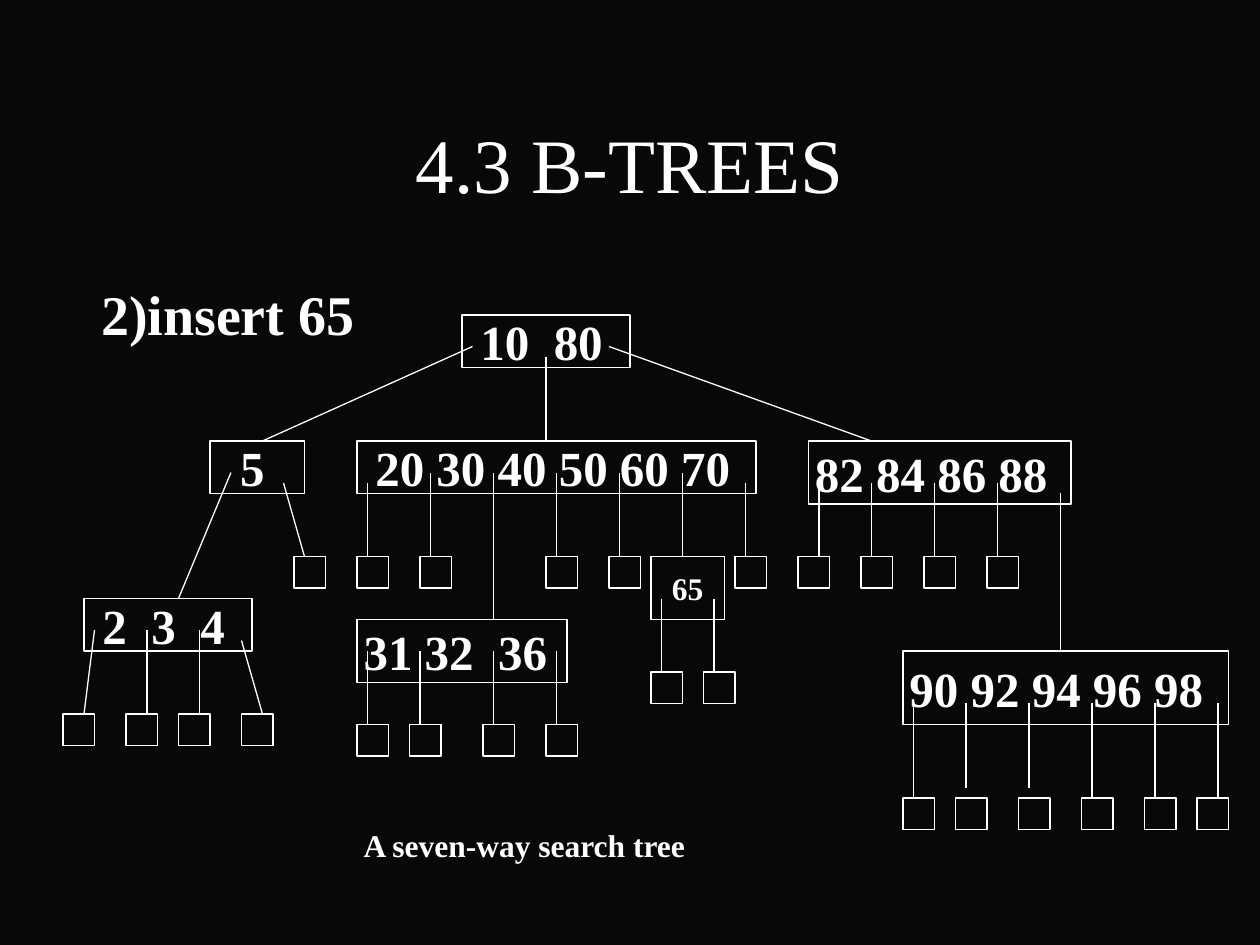
from dataclasses import dataclass

from lxml.etree import SubElement
from pptx import Presentation
from pptx.dml.color import RGBColor
from pptx.enum.shapes import MSO_CONNECTOR, MSO_SHAPE
from pptx.enum.text import MSO_ANCHOR, MSO_AUTO_SIZE, PP_ALIGN
from pptx.oxml.ns import qn
from pptx.util import Pt

EMU_PER_PX = 9525


@dataclass(frozen=True)
class Theme:
    background: RGBColor = RGBColor(0x08, 0x08, 0x08)
    ink: RGBColor = RGBColor(0xFF, 0xFF, 0xFF)
    face: str = "Times New Roman"
    title: int = 44
    body: int = 32
    keys: int = 28
    small: int = 18
    outline: float = 0.75
    wide_gap: int = 7


THEME = Theme()

TITLE = "4.3 B-TREES"
STEP = "2)insert 65"
CAPTION = "A seven-way search tree"

SLIDE_SIZE = (960, 720)
TITLE_BOX = (72, 64, 816, 120)
STEP_BOX = (72, 208, 816, 432)
CAPTION_BOX = (272, 624, 352, 36)
INSET = 5
HANGING = 36
LEAF_SIDE = 24

# key groups within a node are separated by a wide gap
NODES = [
    (("10", "80"), (352, 240, 128, 40), 14),
    (("5",), (160, 336, 72, 40), 23),
    (("20 30 40 50 60 70",), (272, 336, 304, 40), 14),
    (("82 84 86 88",), (616, 336, 200, 48), INSET),
    (("2", "3", "4"), (64, 456, 128, 40), 14),
    (("31 32", "36"), (272, 472, 160, 48), INSET),
    (("90 92 94 96 98",), (688, 496, 248, 56), INSET),
]
INSERTED = ("65", (496, 424, 56, 48))

LEAF_ROWS = {
    424: (224, 272, 320, 416, 464, 560, 608, 656, 704, 752),
    512: (496, 536),
    544: (48, 96, 136, 184),
    552: (272, 312, 368, 416),
    608: (688, 728, 776, 824, 872, 912),
}

VERTICAL_LINKS = {
    (272, 336): (416,),
    (360, 424): (328, 424, 472, 520),
    (360, 472): (376,),
    (368, 424): (280, 568, 624, 664, 712, 760),
    (376, 496): (808,),
    (456, 512): (504, 544),
    (480, 544): (112, 152),
    (496, 552): (280, 320, 376, 424),
    (536, 600): (736, 784),
    (536, 608): (696, 832, 880, 928),
}
SLANTED_LINKS = [
    (360, 264, 200, 336),
    (464, 264, 664, 336),
    (176, 360, 136, 456),
    (216, 368, 232, 424),
    (72, 480, 64, 544),
    (184, 488, 200, 544),
]


def emu(lengths):
    return [length * EMU_PER_PX for length in lengths]


def place(placeholder, box):
    placeholder.left, placeholder.top, placeholder.width, placeholder.height = emu(box)


def style_frame(frame, anchor, left=INSET, vertical=INSET, wrap=True):
    frame.margin_left, frame.margin_right = emu((left, INSET))
    frame.margin_top = frame.margin_bottom = vertical * EMU_PER_PX
    frame.vertical_anchor = anchor
    frame.auto_size = MSO_AUTO_SIZE.NONE
    frame.word_wrap = wrap


def style_paragraph(paragraph, size, align=PP_ALIGN.LEFT, bold=True, before=0):
    paragraph.alignment = align
    paragraph.space_before = Pt(before)
    paragraph.font.name = THEME.face
    paragraph.font.size = Pt(size)
    paragraph.font.bold = bold
    paragraph.font.color.rgb = THEME.ink


def add_box(slide, box):
    rectangle = slide.shapes.add_shape(MSO_SHAPE.RECTANGLE, *emu(box))
    rectangle.shadow.inherit = False
    rectangle.fill.background()
    rectangle.line.color.rgb = THEME.ink
    rectangle.line.width = Pt(THEME.outline)
    return rectangle


def add_node(slide, groups, box, left, size, align=PP_ALIGN.LEFT):
    frame = add_box(slide, box).text_frame
    style_frame(frame, MSO_ANCHOR.MIDDLE, left, vertical=0, wrap=align == PP_ALIGN.CENTER)
    paragraph = frame.paragraphs[0]
    for index, group in enumerate(groups):
        if index:
            gap = paragraph.add_run()
            gap.text = " "
            gap.font._element.set("spc", str(THEME.wide_gap * 100))
        paragraph.add_run().text = group
    style_paragraph(paragraph, size, align)


def add_link(slide, ends):
    link = slide.shapes.add_connector(MSO_CONNECTOR.STRAIGHT, *emu(ends))
    link.line.color.rgb = THEME.ink
    link.line.width = Pt(THEME.outline)
    SubElement(link._element.spPr, qn("a:effectLst"))


def add_heading(slide):
    title, step = slide.shapes.title, slide.placeholders[1]
    place(title, TITLE_BOX)
    title.text_frame.text = TITLE
    style_frame(title.text_frame, MSO_ANCHOR.MIDDLE)
    style_paragraph(title.text_frame.paragraphs[0], THEME.title, PP_ALIGN.CENTER, bold=False)

    place(step, STEP_BOX)
    step.text_frame.text = STEP
    style_frame(step.text_frame, MSO_ANCHOR.TOP)
    paragraph = step.text_frame.paragraphs[0]
    style_paragraph(paragraph, THEME.body, before=7)
    properties = paragraph._p.get_or_add_pPr()
    properties.set("marL", str(HANGING * EMU_PER_PX))
    properties.set("indent", str(-HANGING * EMU_PER_PX))
    properties.find(qn("a:spcBef")).addnext(properties.makeelement(qn("a:buNone")))


def add_tree(slide):
    for groups, box, left in NODES:
        add_node(slide, groups, box, left, THEME.keys)
    key, box = INSERTED
    add_node(slide, (key,), box, INSET, THEME.small, PP_ALIGN.CENTER)
    for top, lefts in LEAF_ROWS.items():
        for left in lefts:
            add_box(slide, (left, top, LEAF_SIDE, LEAF_SIDE))
    for (top, bottom), columns in VERTICAL_LINKS.items():
        for x in columns:
            add_link(slide, (x, top, x, bottom))
    for ends in SLANTED_LINKS:
        add_link(slide, ends)


def add_caption(slide):
    frame = slide.shapes.add_textbox(*emu(CAPTION_BOX)).text_frame
    frame.text = CAPTION
    style_frame(frame, MSO_ANCHOR.TOP)
    style_paragraph(frame.paragraphs[0], THEME.small)


def main():
    deck = Presentation()
    deck.slide_width, deck.slide_height = emu(SLIDE_SIZE)
    slide = deck.slides.add_slide(deck.slide_layouts[1])
    slide.background.fill.solid()
    slide.background.fill.fore_color.rgb = THEME.background
    add_heading(slide)
    add_tree(slide)
    add_caption(slide)
    deck.save("out.pptx")


if __name__ == "__main__":
    main()
